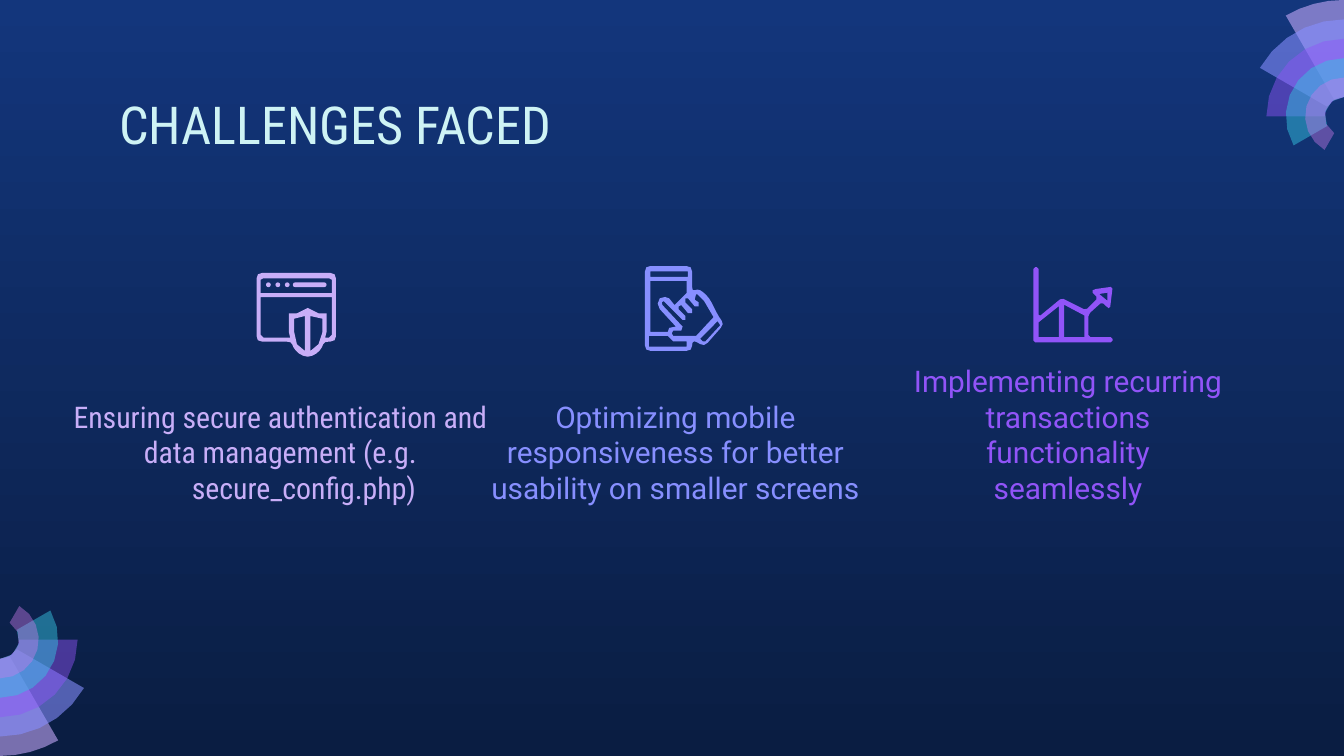
import math

from lxml import etree
from pptx import Presentation
from pptx import util as u
from pptx.dml import color
from pptx.enum import shapes, text
from pptx.oxml import ns

COLORS = {
    "sky": "13367C", "night": "0A1D42", "mint": "CEF3F5",
    "lilac": "C8AEF8", "periwinkle": "878FFF", "violet": "9154F8",
    "petal": "C8ACFD", "cyan": "35C2DF", "orchid": "CA7BEB",
}
SLIDE_WIDTH, SLIDE_HEIGHT = 25.4, 14.29
FAN_RADIUS = 2.2
# Outermost ring first: colour and opacity in percent.
FAN_RINGS = [("petal", 58), ("periwinkle", 58), ("violet", 46), ("cyan", 49), ("orchid", 42)]
ICON_UNIT = 1.5 / 59

# Corners in icon units: the outer contour first, then the holes in it.
BROWSER_SHIELD = [
    [(0, 0), (59, 0), (59, 51), (50, 51), (49, 55), (45, 60), (38, 63),
     (31, 60), (27, 55), (26, 51), (0, 51)],
    [(3, 15), (3, 5), (5, 4), (54, 4), (56, 5), (56, 15)],
    [(3, 18), (56, 18), (56, 46), (54, 48), (51, 48), (52, 44), (52, 30), (46, 30),
     (38, 26), (30, 30), (24, 30), (24, 44), (25, 48), (5, 48), (3, 46)],
    [(36, 32), (36, 58), (30, 53), (28, 44), (28, 34)],
    [(40, 32), (40, 58), (46, 53), (49, 44), (49, 34)],
]
PHONE_HAND = [
    [(0, 0), (35, 0), (35, 19), (39, 17), (43, 19), (48, 24), (55, 38), (59, 43),
     (44, 60), (38, 56), (35, 56), (35, 63), (0, 63)],
    [(4, 8), (4, 4), (32, 4), (32, 8)],
    [(4, 11), (31, 11), (31, 20), (26, 25), (22, 29), (18, 24), (15, 23), (11, 24),
     (9.5, 28), (11, 32), (23, 45), (18, 46), (17, 49), (4, 49)],
    [(3, 52), (17, 52), (21, 56), (31, 56), (31, 60), (3, 60)],
    [(54, 41), (56, 44), (45, 56), (43, 56), (41, 54)],
    [(39, 21), (44, 26), (51, 38), (38, 52), (21, 52), (20, 50), (21, 48), (27, 48),
     (28, 45), (13, 29), (12.5, 27), (14, 26), (28, 40), (30, 40), (30, 37), (25, 32),
     (25, 30), (27, 29), (32, 35), (35, 35), (35, 32), (30, 27), (30, 24), (32, 24),
     (37, 30), (40, 30), (40, 27), (37, 25), (38, 21)],
]
GROWTH_CHART = [
    [(0, 0), (4, 0), (4, 37), (21, 23), (39, 32), (48, 23), (43, 18), (45, 16.5),
     (59, 14.5), (57, 31), (55, 30), (51, 26), (41, 35), (41, 52), (59, 52),
     (59, 56), (0, 56)],
    [(55, 19), (55, 25), (49, 20)],
    [(19, 29), (19, 52), (4, 52), (4, 41)],
    [(23, 28), (38, 36), (38, 52), (23, 52)],
]


def rgb(name):
    return color.RGBColor.from_string(COLORS[name])


def paint(shape, name, opacity=100):
    shape.shadow.inherit = False
    shape.line.fill.background()
    shape.fill.solid()
    shape.fill.fore_color.rgb = rgb(name)
    if opacity < 100:
        fill_color = shape.fill._xPr.find(".//" + ns.qn("a:srgbClr"))
        etree.SubElement(fill_color, ns.qn("a:alpha"), val=str(opacity * 1000))


def add_outline(slide, contours, fill, opacity=100):
    """Draw closed contours, given in centimetres, as one filled shape."""
    builder = None
    for contour in contours:
        points = [(u.Cm(x), u.Cm(y)) for x, y in contour]
        if builder is None:
            builder = slide.shapes.build_freeform(*points[0])
        else:
            builder.move_to(*points[0])
        builder.add_line_segments(points[1:], close=True)
    paint(builder.convert_to_shape(), fill, opacity)


def round_corners(corners, radius, steps):
    """Replace each corner by a short quadratic curve."""
    points = []
    for i, corner in enumerate(corners):
        ends = []
        for other in (corners[i - 1], corners[(i + 1) % len(corners)]):
            share = min(radius / math.dist(corner, other), 0.5)
            ends.append([c + (o - c) * share for c, o in zip(corner, other)])
        for step in range(steps + 1):
            t = step / steps
            points.append([(1 - t) ** 2 * a + 2 * t * (1 - t) * c + t ** 2 * b
                           for a, c, b in zip(ends[0], corner, ends[1])])
    return points


def add_icon(slide, left, top, icon, fill, radius=4, steps=2):
    outer, *holes = icon
    add_outline(slide, [[(left + x * ICON_UNIT, top + y * ICON_UNIT) for x, y in contour]
                        for contour in (round_corners(outer, radius, steps), *holes)], fill)


def add_browser_bar(slide, left, top, fill):
    """Add the three dots and the address bar of the browser icon."""
    for x, width in [(7, 3.5), (14, 3.5), (21, 3.5), (27, 25)]:
        mark = slide.shapes.add_shape(
            shapes.MSO_SHAPE.ROUNDED_RECTANGLE, u.Cm(left + x * ICON_UNIT),
            u.Cm(top + 7 * ICON_UNIT), u.Cm(width * ICON_UNIT), u.Cm(3.5 * ICON_UNIT))
        mark.adjustments[0] = 0.5
        paint(mark, fill)


def add_fan(slide, center_x, center_y, turn=0):
    """Each ring is one step narrower and opens 30 degrees wider than the last."""
    ring_width = FAN_RADIUS / 6

    def arc(radius, start, end, steps):
        angles = [math.radians(turn + start + (end - start) * i / steps) for i in range(steps + 1)]
        return [(center_x + radius * math.cos(a), center_y + radius * math.sin(a)) for a in angles]

    for i, (fill, opacity) in enumerate(FAN_RINGS):
        start = 60 - 30 * i
        outer = arc(FAN_RADIUS - i * ring_width, start, 90, steps=4 + i)
        inner = arc(ring_width, 90, start, steps=2 + i // 2)
        add_outline(slide, [outer + inner], fill, opacity)


def fill_placeholder(placeholder, box, lines, *, size, font, fill,
                     align=text.PP_ALIGN.LEFT, anchor=text.MSO_ANCHOR.TOP, margin=0, indent=0):
    placeholder.left, placeholder.top, placeholder.width, placeholder.height = map(u.Cm, box)
    frame = placeholder.text_frame
    frame.text = "\n".join(lines)
    frame.word_wrap = True
    frame.auto_size = text.MSO_AUTO_SIZE.NONE
    frame.vertical_anchor = anchor
    frame.margin_left = frame.margin_right = frame.margin_top = frame.margin_bottom = u.Cm(0.25)
    for paragraph in frame.paragraphs:
        properties = paragraph._p.get_or_add_pPr()
        properties.set("marL", str(u.Cm(margin)))
        properties.set("indent", str(u.Cm(indent)))
        etree.SubElement(properties, ns.qn("a:buNone"))
        paragraph.alignment = align
        paragraph.space_before = u.Pt(0)
        paragraph.font.size = u.Pt(size)
        paragraph.font.name = font
        paragraph.font.bold = False
        paragraph.font.color.rgb = rgb(fill)


def add_challenge(slide, placeholder, box, lines, fill, font="Roboto", **layout):
    fill_placeholder(placeholder, box, lines, size=16, font=font, fill=fill,
                     align=text.PP_ALIGN.CENTER, anchor=text.MSO_ANCHOR.BOTTOM, **layout)


def paint_background(slide):
    fill = slide.background.fill
    fill.gradient()
    fill.gradient_angle = 270
    for stop, name in zip(fill.gradient_stops, ("sky", "night")):
        stop.color.rgb = rgb(name)


def main():
    presentation = Presentation()
    presentation.slide_width, presentation.slide_height = u.Cm(SLIDE_WIDTH), u.Cm(SLIDE_HEIGHT)
    slide = presentation.slides.add_slide(presentation.slide_layouts.get_by_name("Comparison"))
    title, first, second, third, spare = slide.placeholders
    spare.element.getparent().remove(spare.element)

    paint_background(slide)
    add_fan(slide, 0, SLIDE_HEIGHT - FAN_RADIUS)
    add_fan(slide, SLIDE_WIDTH, FAN_RADIUS, turn=180)
    fill_placeholder(title, (2, 1.5, 21.4, 1.6), ["CHALLENGES FACED"],
                     size=28, font="Roboto Condensed", fill="mint")

    text_top, text_height = 7.32, 2.49
    add_challenge(slide, first, (0.46, text_top, 9.3, text_height),
                  ["Ensuring secure authentication and", "data management (e.g. secure_config.php)"],
                  "lilac", font="Roboto Condensed", margin=1.27, indent=-0.89)
    add_challenge(slide, second, (9.02, text_top, 7.49, text_height),
                  ["Optimizing mobile responsiveness for better usability on smaller screens"],
                  "periwinkle")
    add_challenge(slide, third, (16.97, text_top, 6.43, text_height),
                  ["Implementing recurring transactions functionality seamlessly"], "violet")

    add_icon(slide, 4.85, 5.16, BROWSER_SHIELD, "lilac")
    add_browser_bar(slide, 4.85, 5.16, "lilac")
    add_icon(slide, 12.19, 5.03, PHONE_HAND, "periwinkle")
    add_icon(slide, 19.53, 5.05, GROWTH_CHART, "violet", radius=1.5, steps=1)
    presentation.save("out.pptx")


if __name__ == "__main__":
    main()
